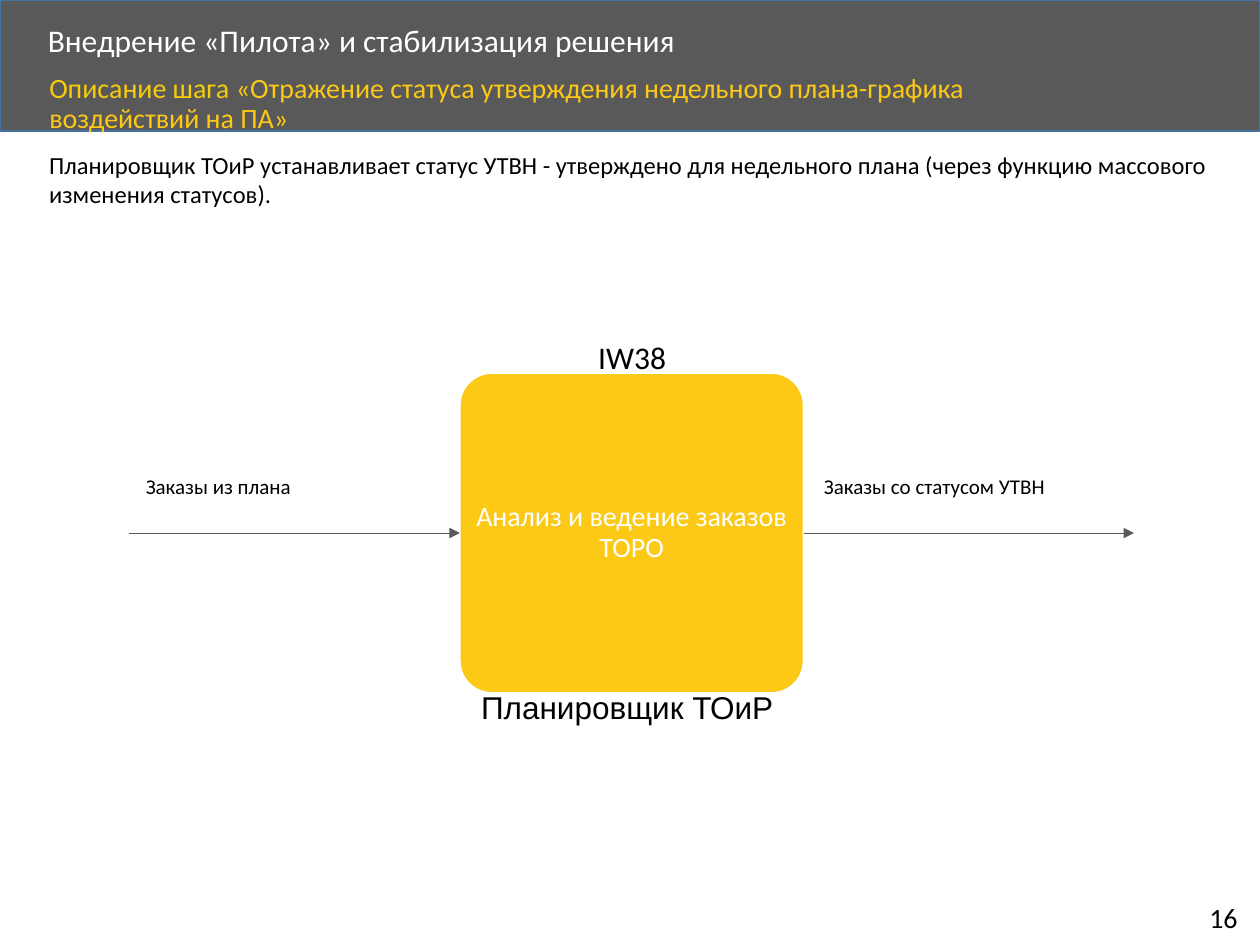
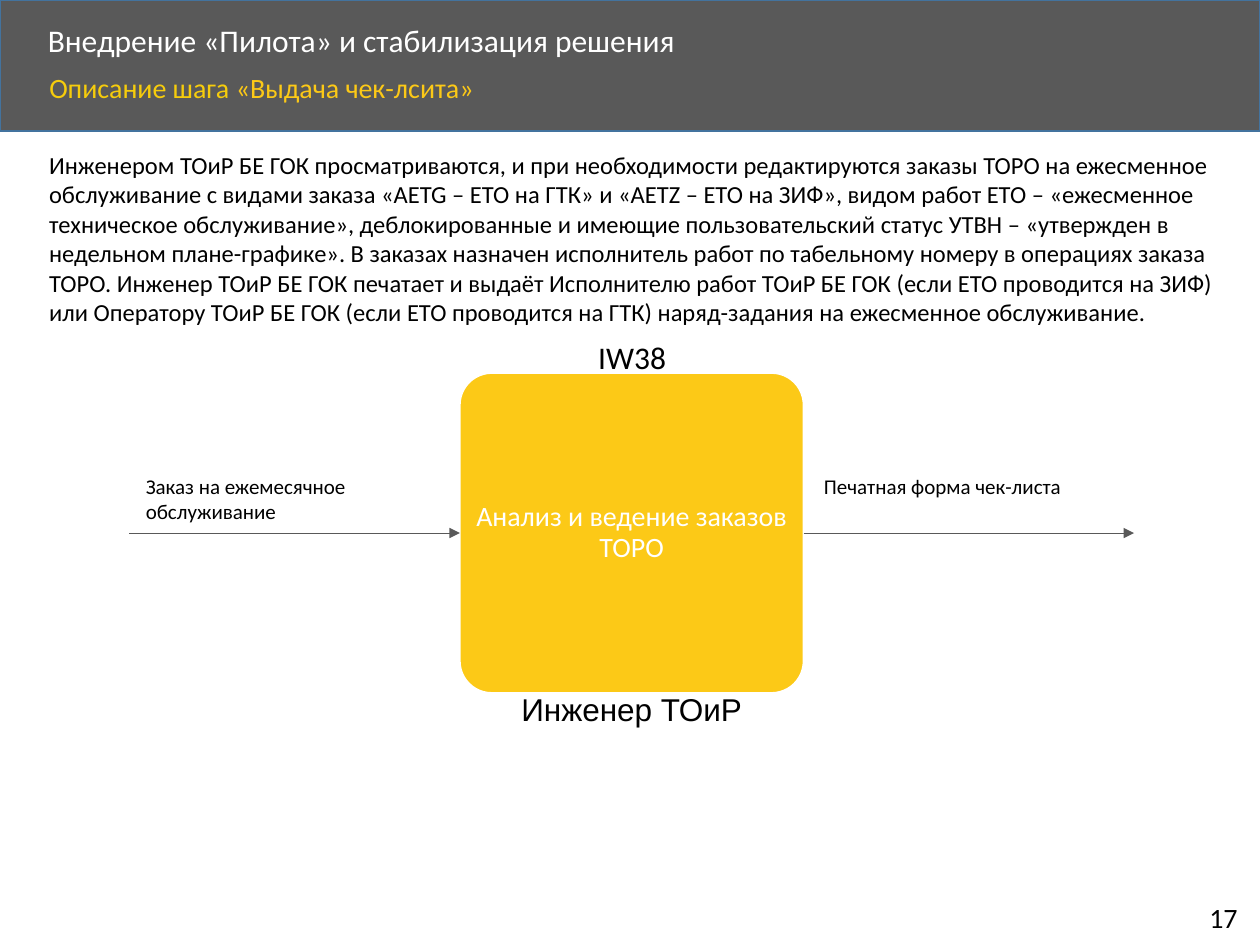
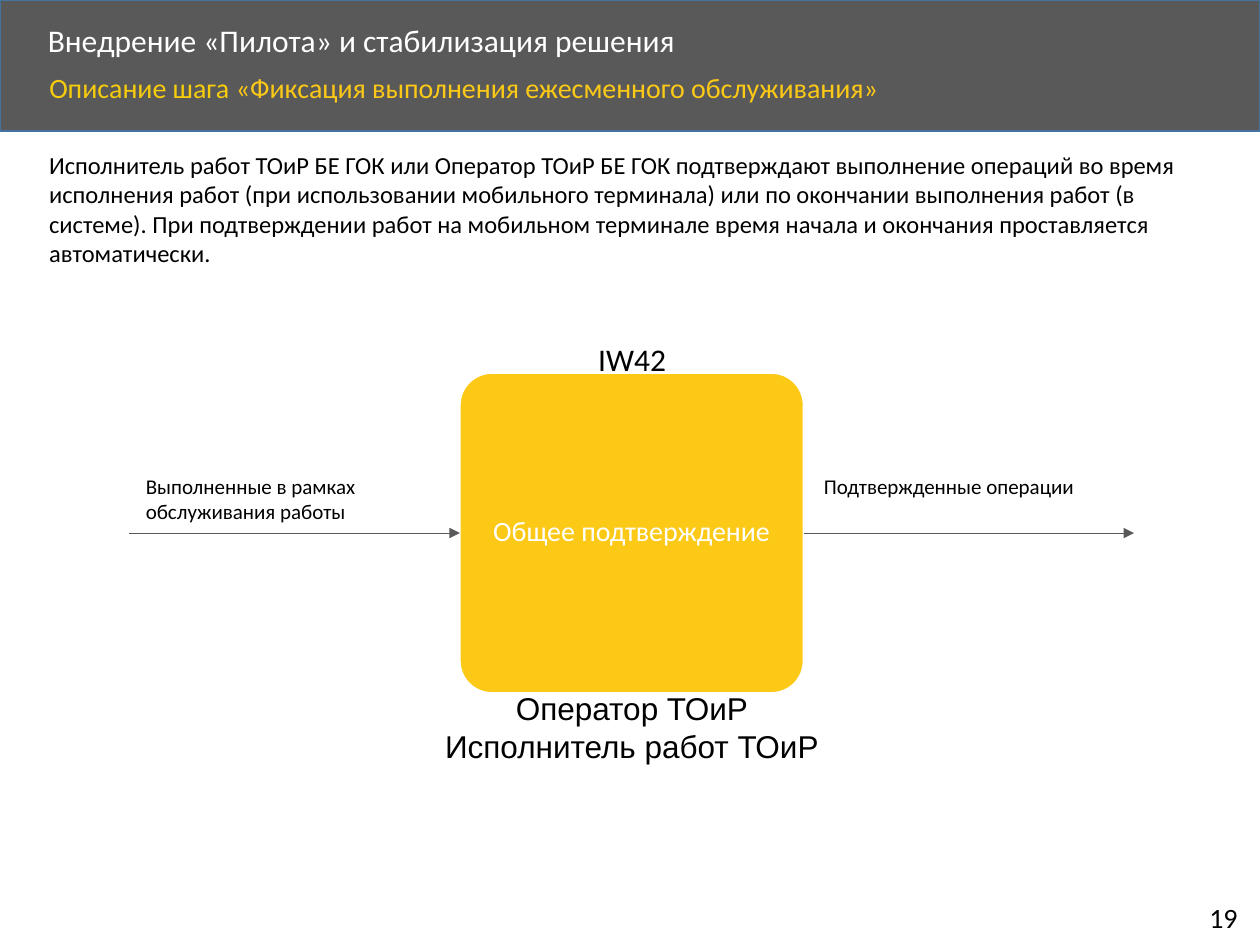
from dataclasses import dataclass

from lxml import etree
from pptx import Presentation
from pptx.dml.color import RGBColor
from pptx.enum.shapes import MSO_CONNECTOR, MSO_SHAPE
from pptx.enum.text import MSO_ANCHOR, MSO_AUTO_SIZE, PP_ALIGN
from pptx.oxml.ns import qn
from pptx.util import Cm, Pt

RECT, ROUND = MSO_SHAPE.RECTANGLE, MSO_SHAPE.ROUNDED_RECTANGLE
STRAIGHT = MSO_CONNECTOR.STRAIGHT
LEFT, CENTER = PP_ALIGN.LEFT, PP_ALIGN.CENTER
TOP, MIDDLE = MSO_ANCHOR.TOP, MSO_ANCHOR.MIDDLE
FIXED, GROW = MSO_AUTO_SIZE.NONE, MSO_AUTO_SIZE.SHAPE_TO_FIT_TEXT


@dataclass(frozen=True)
class Theme:
    gray: str = "595959"
    edge: str = "43739E"
    gold: str = "FCC917"
    lead: str = "F6CC0C"
    white: str = "FFFFFF"
    black: str = "000000"
    font: str = "Calibri"
    alt: str = "Arial"
    head: int = 18
    sub: int = 16
    body: int = 14
    note: int = 12


@dataclass(frozen=True)
class Step:
    page: str
    name: str
    about: str
    rows: int
    code: str
    code_top: float
    task: str
    source: str
    source_rows: int
    result: str
    roles: tuple
    role_box: tuple


T = Theme()
TITLE = "Внедрение «Пилота» и стабилизация решения"

STEPS = (
    Step(
        page="16",
        name="«Отражение статуса утверждения недельного плана-графика "
             "воздействий на ПА»",
        about="Планировщик ТОиР устанавливает статус УТВН - утверждено для "
              "недельного плана (через функцию массового изменения статусов).",
        rows=2,
        code="IW38",
        code_top=6.68,
        task="Анализ и ведение заказов ТОРО",
        source="Заказы из плана",
        source_rows=1,
        result="Заказы со статусом УТВН",
        roles=("Планировщик ТОиР",),
        role_box=(9.45, 13.74, 6.78),
    ),
    Step(
        page="17",
        name="«Выдача чек-лсита»",
        about="Инженером ТОиР БЕ ГОК просматриваются, и при необходимости "
              "редактируются заказы ТОРО на ежесменное обслуживание с видами "
              "заказа «AETG – ЕТО на ГТК» и «AETZ – ЕТО на ЗИФ», видом работ "
              "ЕТО – «ежесменное техническое обслуживание», деблокированные и "
              "имеющие пользовательский статус УТВН – «утвержден в недельном "
              "плане-графике». В заказах назначен исполнитель работ по "
              "табельному номеру в операциях заказа ТОРО. Инженер ТОиР БЕ ГОК "
              "печатает и выдаёт Исполнителю работ ТОиР БЕ ГОК (если ЕТО "
              "проводится на ЗИФ) или Оператору ТОиР БЕ ГОК (если ЕТО "
              "проводится на ГТК) наряд-задания на ежесменное обслуживание.",
        rows=6,
        code="IW38",
        code_top=6.68,
        task="Анализ и ведение заказов ТОРО",
        source="Заказ на ежемесячное обслуживание",
        source_rows=2,
        result="Печатная форма чек-листа",
        roles=("Инженер ТОиР",),
        role_box=(10.26, 13.79, 4.98),
    ),
    Step(
        page="19",
        name="«Фиксация выполнения ежесменного обслуживания»",
        about="Исполнитель работ ТОиР БЕ ГОК или Оператор ТОиР БЕ ГОК "
              "подтверждают выполнение операций во время исполнения работ "
              "(при использовании мобильного терминала) или по окончании "
              "выполнения работ (в системе). При подтверждении работ на "
              "мобильном терминале время начала и окончания проставляется "
              "автоматически.",
        rows=4,
        code="IW42",
        code_top=6.73,
        task="Общее подтверждение",
        source="Выполненные в рамках обслуживания работы",
        source_rows=2,
        result="Подтвержденные операции",
        roles=("Оператор ТОиР", "Исполнитель работ ТОиР"),
        role_box=(8.61, 13.77, 8.26),
    ),
)


def rgb(code):
    return RGBColor.from_string(code)


def add_run(para, text, size, color=T.black, font=T.font):
    run = para.add_run()
    run.text = text
    run.font.size = Pt(size)
    run.font.name = font
    run.font.color.rgb = rgb(color)


def place(shape, left, top, width, height):
    shape.left, shape.top = Cm(left), Cm(top)
    shape.width, shape.height = Cm(width), Cm(height)


def add_shape(slide, kind, box, fill, edge):
    shape = slide.shapes.add_shape(kind, *map(Cm, box))
    shape.shadow.inherit = False
    shape.fill.solid()
    shape.fill.fore_color.rgb = rgb(fill)
    shape.line.color.rgb = rgb(edge)
    shape.line.width = Pt(1)
    return shape


def add_text(slide, left, top, width, lines, size, rows=1, font=T.font,
             align=LEFT, wrap=True):
    """Add a text box whose height follows from its type size and rows."""
    height = 0.25 + rows * size * 0.0423
    box = slide.shapes.add_textbox(Cm(left), Cm(top), Cm(width), Cm(height))
    frame = box.text_frame
    frame.word_wrap = wrap
    frame.auto_size = GROW
    for i, line in enumerate(lines):
        para = frame.add_paragraph() if i else frame.paragraphs[0]
        para.alignment = align
        add_run(para, line, size, font=font)


def fill_holder(holder, box, anchor, size, parts):
    """Move a placeholder and fill it with (text, color) parts."""
    place(holder, *box)
    frame = holder.text_frame
    frame.auto_size = FIXED
    frame.word_wrap = True
    frame.vertical_anchor = anchor
    para = frame.paragraphs[0]
    props = para._p.get_or_add_pPr()
    props.set("marL", "0")
    props.set("indent", "0")
    etree.SubElement(props, qn("a:buNone"))
    para.alignment = LEFT
    para.line_spacing = 0.9
    para.space_before = Pt(0)
    for text, color in parts:
        add_run(para, text, size, color)


def add_header(slide, step):
    band = add_shape(slide, RECT, (0, 0, 25.4, 2.64), T.gray, T.edge)
    title, body = slide.shapes.title, slide.placeholders[1]
    title.element.addprevious(band.element)
    fill_holder(title, (0.71, 0.36, 20.5, 0.97), MIDDLE, T.head,
                [(TITLE, T.white)])
    fill_holder(body, (0.74, 1.37, 21.97, 1.14), TOP, T.sub,
                [("Описание шага ", T.lead), (step.name, T.gold)])
    add_text(slide, 24.13, 18.03, 1.17, [step.page], T.sub, wrap=False)


def add_task(slide, text):
    box = add_shape(slide, ROUND, (9.27, 7.52, 6.93, 6.45), T.gold, T.white)
    box.adjustments[0] = 0.1
    frame = box.text_frame
    frame.word_wrap = True
    frame.vertical_anchor = MIDDLE
    frame.margin_left = frame.margin_right = Cm(0.03)
    frame.margin_top = frame.margin_bottom = Cm(0.03)
    para = frame.paragraphs[0]
    para.alignment = CENTER
    para.line_spacing = 0.9
    add_run(para, text, T.sub, T.white)
    return box


def add_arrow(slide, start, end, y):
    arrow = slide.shapes.add_connector(STRAIGHT, start, y, end, y)
    arrow.line.color.rgb = rgb(T.gray)
    arrow.line.width = Pt(0.5)
    etree.SubElement(arrow.get_or_add_ln(), qn("a:tailEnd"), type="triangle")
    etree.SubElement(arrow.element.spPr, qn("a:effectLst"))
    return arrow


def add_flow(slide, step):
    box = add_task(slide, step.task)
    mid, right = box.top + box.height // 2, box.left + box.width
    span = Cm(6.66)
    add_arrow(slide, box.left - span, box.left, mid).end_connect(box, 1)
    add_arrow(slide, right, right + span, mid).begin_connect(box, 3)
    add_text(slide, 11.81, step.code_top, 1.91, [step.code], T.head,
             wrap=False)
    add_text(slide, 2.69, 9.42, 6.5, [step.source], T.note, step.source_rows)
    add_text(slide, 16.36, 9.42, 6.53, [step.result], T.note)
    count = len(step.roles)
    add_text(slide, *step.role_box, step.roles, T.head, count, T.alt,
             CENTER if count > 1 else LEFT)


def main():
    deck = Presentation()
    deck.slide_width, deck.slide_height = Cm(25.4), Cm(19.05)
    for step in STEPS:
        slide = deck.slides.add_slide(deck.slide_layouts[1])
        add_header(slide, step)
        add_text(slide, 0.74, 2.9, 24.03, [step.about], T.body, step.rows)
        add_flow(slide, step)
    deck.save("out.pptx")


if __name__ == "__main__":
    main()
